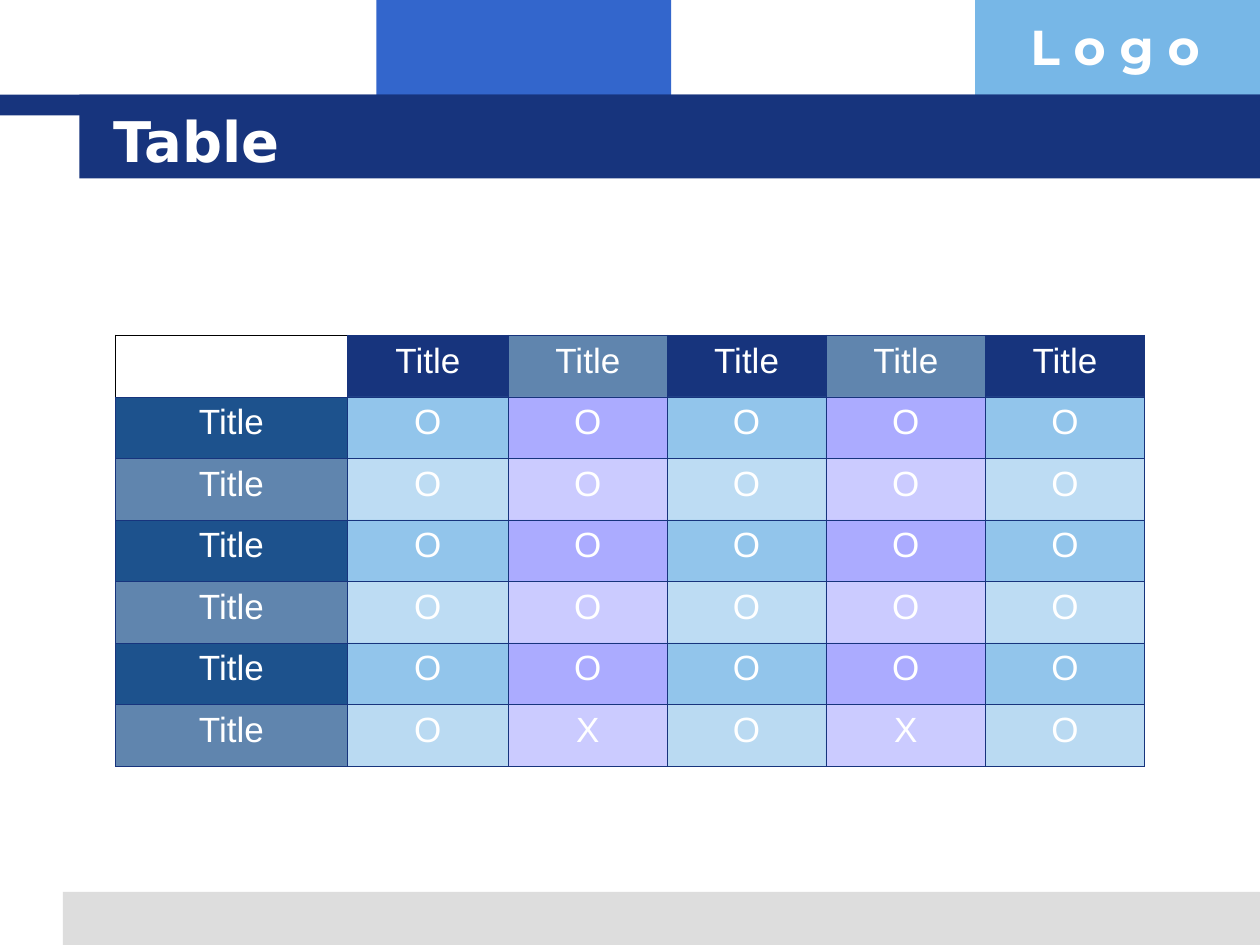
import pptx
import pptx.dml.color
import pptx.enum.shapes
import pptx.enum.text
import pptx.oxml
import pptx.oxml.ns
import pptx.util
from pptx.util import Cm

COLORS = {
    "navy": "17347D", "royal": "3366CC", "sky": "77B7E7", "gray": "DDDDDD",
    "steel": "1D528D", "violet": "9999FF", "white": "FFFFFF", "black": "000000",
}
TITLE = "Table"
LOGO = "L o g o"
ROWS = [["", *["Title"] * 5]]
ROWS += [["Title", *"OOOOO"] for _ in range(5)]
ROWS += [["Title", *"OXOXO"]]

# left, top, width, height in cm
BANDS = [
    ("royal", 7.59, 0, 5.94, 2.34),
    ("sky", 19.66, 0, 5.74, 2.34),
    ("gray", 1.27, 17.98, 24.13, 1.07),
    ("navy", 0, 1.91, 25.4, 0.42),
    ("navy", 1.6, 1.91, 23.8, 1.69),
]
COLUMN_WIDTHS = [4.67, 3.25, 3.2, 3.2, 3.22, 3.2]
ROW_HEIGHT = 1.24


def rgb(name):
    return pptx.dml.color.RGBColor.from_string(COLORS[name])


def add_text(frame, text, size, font, bold=False):
    para = frame.paragraphs[0]
    span = para.add_run()
    span.text = text
    span.font.size = pptx.util.Pt(size)
    span.font.name = font
    span.font.bold = bold
    span.font.color.rgb = rgb("white")
    return para


def cell_fill(row, column):
    """Return colour name and opacity in percent."""
    if row == 0:
        return ("navy", 100) if column % 2 else ("steel", 70)
    if column == 0:
        return ("steel", 100) if row % 2 else ("steel", 70)
    if column % 2 == 0:
        return ("violet", 82 if row % 2 else 50)
    if row == len(ROWS) - 1:
        return ("sky", 50)
    return ("sky", 80 if row % 2 else 48)


def set_fill(cell, color, opacity):
    cell.fill.solid()
    cell.fill.fore_color.rgb = rgb(color)
    if opacity < 100:
        tag = pptx.oxml.ns.qn("a:srgbClr")
        shade = next(cell.fill.fore_color._xFill.iter(tag))
        alpha = pptx.oxml.parse_xml(
            f'<a:alpha {pptx.oxml.ns.nsdecls("a")} val="{opacity * 1000}"/>')
        shade.append(alpha)


def set_borders(cell, is_corner):
    properties = cell._tc.get_or_add_tcPr()
    for side in "LRTB":
        outer = is_corner and side in "LT"
        color = COLORS["black" if outer else "navy"]
        width = pptx.util.Pt(1 if outer and side == "T" else 0.45)
        properties.append(pptx.oxml.parse_xml(
            f'<a:ln{side} {pptx.oxml.ns.nsdecls("a")} w="{int(width)}">'
            f'<a:solidFill><a:srgbClr val="{color}"/></a:solidFill></a:ln{side}>'))


def add_bands(page):
    for color, *place in BANDS:
        band = page.shapes.add_shape(
            pptx.enum.shapes.MSO_SHAPE.RECTANGLE, *map(Cm, place))
        band.shadow.inherit = False
        band.fill.solid()
        band.fill.fore_color.rgb = rgb(color)
        band.line.fill.background()


def add_headings(page):
    logo = page.shapes.add_textbox(Cm(20.52), Cm(0.2), Cm(4.88), Cm(1.45))
    logo.text_frame.word_wrap = True
    add_text(logo.text_frame, LOGO, 28, "Montserrat", bold=True)

    title = page.shapes.title
    title.left, title.top, title.width, title.height = map(
        Cm, (2.03, 2.03, 21.67, 1.57))
    title.text_frame.vertical_anchor = pptx.enum.text.MSO_ANCHOR.MIDDLE
    para = add_text(title.text_frame, TITLE, 32, "DejaVu Sans", bold=True)
    para.alignment = pptx.enum.text.PP_ALIGN.LEFT
    # bring the title in front of the bands
    title.element.getparent().append(title.element)


def add_grid(page):
    table = page.shapes.add_table(
        len(ROWS), len(COLUMN_WIDTHS), Cm(2.33), Cm(6.76),
        Cm(sum(COLUMN_WIDTHS)), Cm(ROW_HEIGHT * len(ROWS))).table
    table.first_row = table.horz_banding = False
    for column, width in zip(table.columns, COLUMN_WIDTHS):
        column.width = Cm(width)
    for r, texts in enumerate(ROWS):
        table.rows[r].height = Cm(ROW_HEIGHT)
        for c, text in enumerate(texts):
            cell = table.cell(r, c)
            is_corner = r == c == 0
            set_borders(cell, is_corner)
            if is_corner:
                cell.fill.background()
                continue
            set_fill(cell, *cell_fill(r, c))
            para = add_text(cell.text_frame, text, 20, "Arial")
            para.alignment = pptx.enum.text.PP_ALIGN.CENTER
            para.space_before = pptx.util.Pt(5)


def main():
    deck = pptx.Presentation()
    deck.slide_width, deck.slide_height = Cm(25.4), Cm(19.05)
    page = deck.slides.add_slide(deck.slide_layouts.get_by_name("Title Only"))
    add_bands(page)
    add_headings(page)
    add_grid(page)
    deck.save("out.pptx")


if __name__ == "__main__":
    main()
